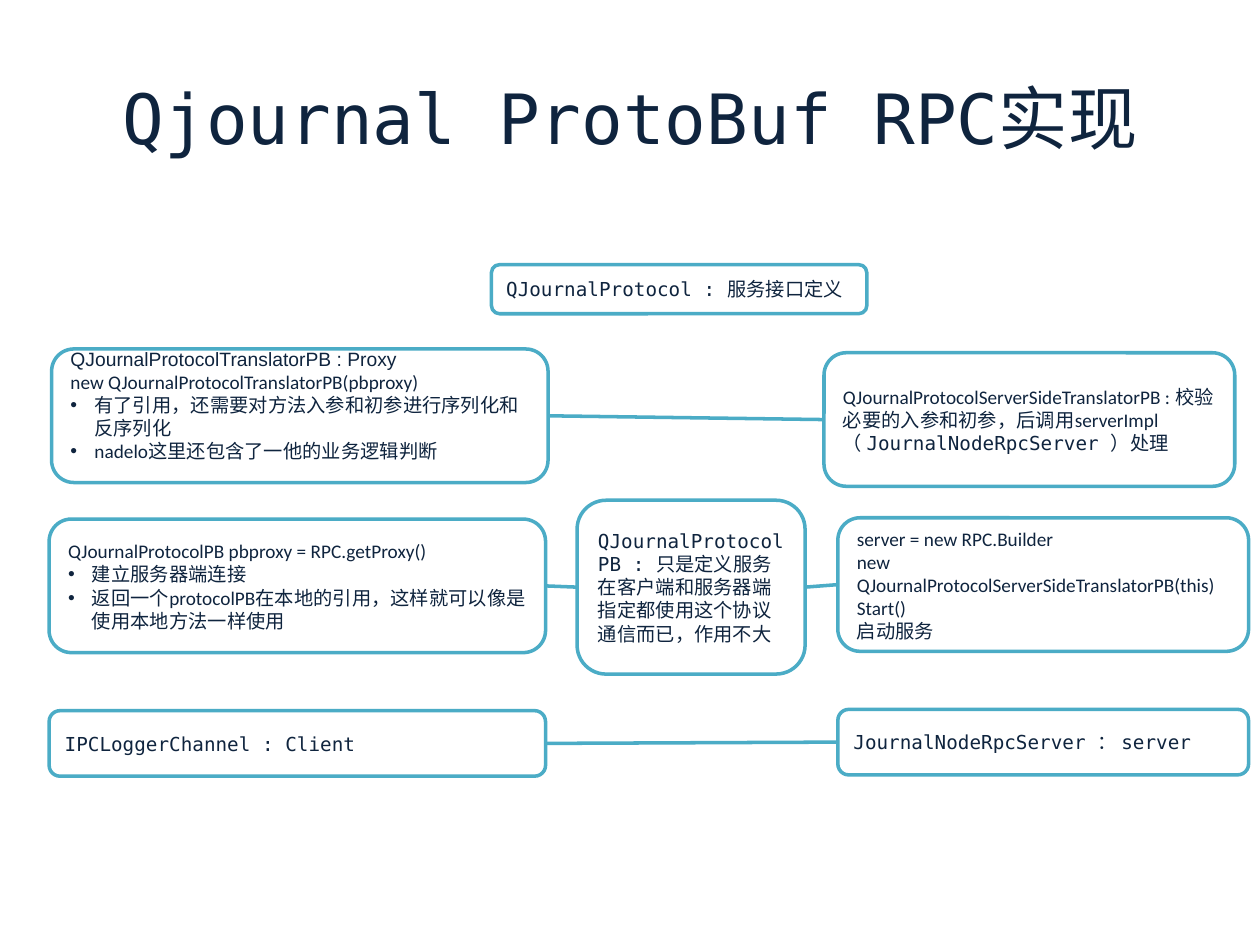
from lxml import etree
from pptx import Presentation
from pptx.dml.color import RGBColor
from pptx.enum.shapes import MSO_CONNECTOR, MSO_SHAPE
from pptx.enum.text import MSO_ANCHOR, PP_ALIGN
from pptx.oxml.ns import qn
from pptx.util import Inches, Pt

NAVY = RGBColor(0x0F, 0x24, 0x3E)
TEAL = RGBColor(0x4B, 0xAC, 0xC6)
WHITE = RGBColor(0xFF, 0xFF, 0xFF)
ROUND = MSO_SHAPE.ROUNDED_RECTANGLE
STRAIGHT = MSO_CONNECTOR.STRAIGHT
MIDDLE = MSO_ANCHOR.MIDDLE
LEFT, CENTER = PP_ALIGN.LEFT, PP_ALIGN.CENTER
MONO, SANS, ARIAL = "DejaVu Sans Mono", "Calibri", "Arial"
LEFT_SITE, RIGHT_SITE = 1, 3
COLS, ROWS = 100, 75
WIDE, SIDE, TALL, LOW = 39.4, 32.6, 10.6, 5.2


class Board:
    """Holds the style and the slide; lengths are grid columns and rows."""

    def __init__(self, deck):
        """Add a blank slide and measure its grid."""
        self.slide = deck.slides.add_slide(deck.slide_layouts[6])
        self.col = deck.slide_width / COLS
        self.row = deck.slide_height / ROWS

    def place(self, x, y, w, h):
        """Turn grid cells into lengths."""
        return (round(x * self.col), round(y * self.row),
                round(w * self.col), round(h * self.row))

    def style(self, para, face, size=11, align=LEFT):
        """Set the font and alignment of a paragraph."""
        para.alignment = align
        font = para.font
        font.name, font.size = face, Pt(size)
        font.color.rgb = NAVY

    def bullet(self, para):
        """Give a paragraph a hanging bullet."""
        props = para._p.get_or_add_pPr()
        props.set("marL", str(Inches(0.19)))
        props.set("indent", str(-Inches(0.19)))
        props.insert(0, etree.Element(qn("a:buFont"), typeface=ARIAL))
        props.insert(1, etree.Element(qn("a:buChar"), char="•"))

    def title(self, text, *area):
        """Add the centred heading."""
        frame = self.slide.shapes.add_textbox(*self.place(*area)).text_frame
        frame.word_wrap = True
        frame.vertical_anchor = MIDDLE
        para = frame.paragraphs[0]
        para.text = text
        self.style(para, MONO, 39.6, CENTER)

    def box(self, area, lines, face=SANS, points=(), foot=0.05):
        """Add a rounded box; a line is text or a list of (text, face) runs."""
        shape = self.slide.shapes.add_shape(ROUND, *self.place(*area))
        shape.shadow.inherit = False
        shape.fill.solid()
        shape.fill.fore_color.rgb = WHITE
        shape.line.color.rgb = TEAL
        shape.line.width = Pt(2)
        frame = shape.text_frame
        frame.word_wrap = True
        frame.vertical_anchor = MIDDLE
        frame.margin_bottom = Inches(foot)
        for i, line in enumerate([*lines, *points]):
            para = frame.add_paragraph() if i else frame.paragraphs[0]
            runs = [(line, face)] if isinstance(line, str) else line
            self.style(para, runs[0][1])
            for text, name in runs:
                run = para.add_run()
                run.text = text
                if name != runs[0][1]:
                    run.font.name = name
            if i >= len(lines):
                self.bullet(para)
        return shape

    def link(self, start, end):
        """Join the right side of one box to the left side of another."""
        line = self.slide.shapes.add_connector(STRAIGHT, 0, 0, 0, 0)
        line.begin_connect(start, RIGHT_SITE)
        line.end_connect(end, LEFT_SITE)
        line.line.color.rgb = TEAL
        line.line.width = Pt(2)
        etree.SubElement(line._element.spPr, qn("a:effectLst"))


def main():
    """Build the slide and save it."""
    deck = Presentation()
    deck.slide_width, deck.slide_height = Inches(10), Inches(7.5)
    board = Board(deck)
    board.title("Qjournal ProtoBuf RPC实现", 5, 3, 90, 12.5)
    board.box((39, 21, 29.8, 3.9), ["QJournalProtocol : 服务接口定义"], MONO)
    proxy = board.box(
        (4.1, 27.7, WIDE, TALL),
        [[("QJournalProtocolTranslatorPB : Proxy", ARIAL)],
         "new QJournalProtocolTranslatorPB(pbproxy)"],
        points=["有了引用，还需要对方法入参和初参进行序列化和反序列化",
                "nadelo这里还包含了一他的业务逻辑判断"],
        foot=0.22)
    check = board.box(
        (65.4, 28, SIDE, TALL),
        [[("QJournalProtocolServerSideTranslatorPB : "
           "校验必要的入参和初参，后调用serverImpl（", SANS),
          (" JournalNodeRpcServer ", MONO), ("）处理", SANS)]])
    stub = board.box(
        (3.9, 41.2, WIDE, TALL),
        ["QJournalProtocolPB pbproxy = RPC.getProxy()"],
        points=["建立服务器端连接",
                "返回一个protocolPB在本地的引用，这样就可以像是使用本地方法一样使用"])
    proto = board.box(
        (45.8, 39.7, 18.1, 13.8),
        ["QJournalProtocolPB : 只是定义服务在客户端和服务器端"
         "指定都使用这个协议通信而已，作用不大"], MONO)
    build = board.box(
        (66.5, 41.1, SIDE, TALL),
        ["server = new RPC.Builder",
         "new QJournalProtocolServerSideTranslatorPB(this)",
         "Start()", "启动服务"])
    client = board.box((3.9, 56.4, WIDE, LOW),
                       ["IPCLoggerChannel : Client"], MONO)
    server = board.box((66.5, 56.3, SIDE, LOW),
                       ["JournalNodeRpcServer ： server"], MONO)
    for start, end in ((proxy, check), (stub, proto),
                       (proto, build), (client, server)):
        board.link(start, end)
    deck.save("out.pptx")


main()
